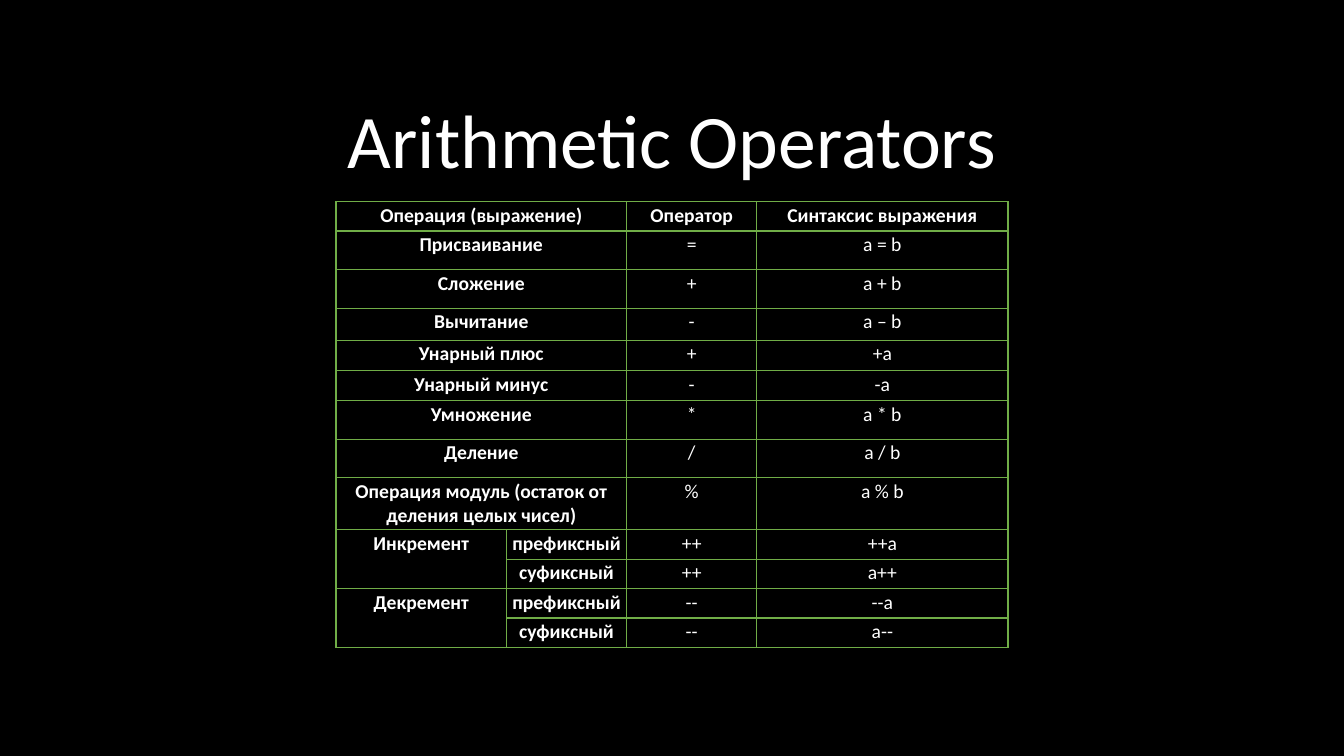
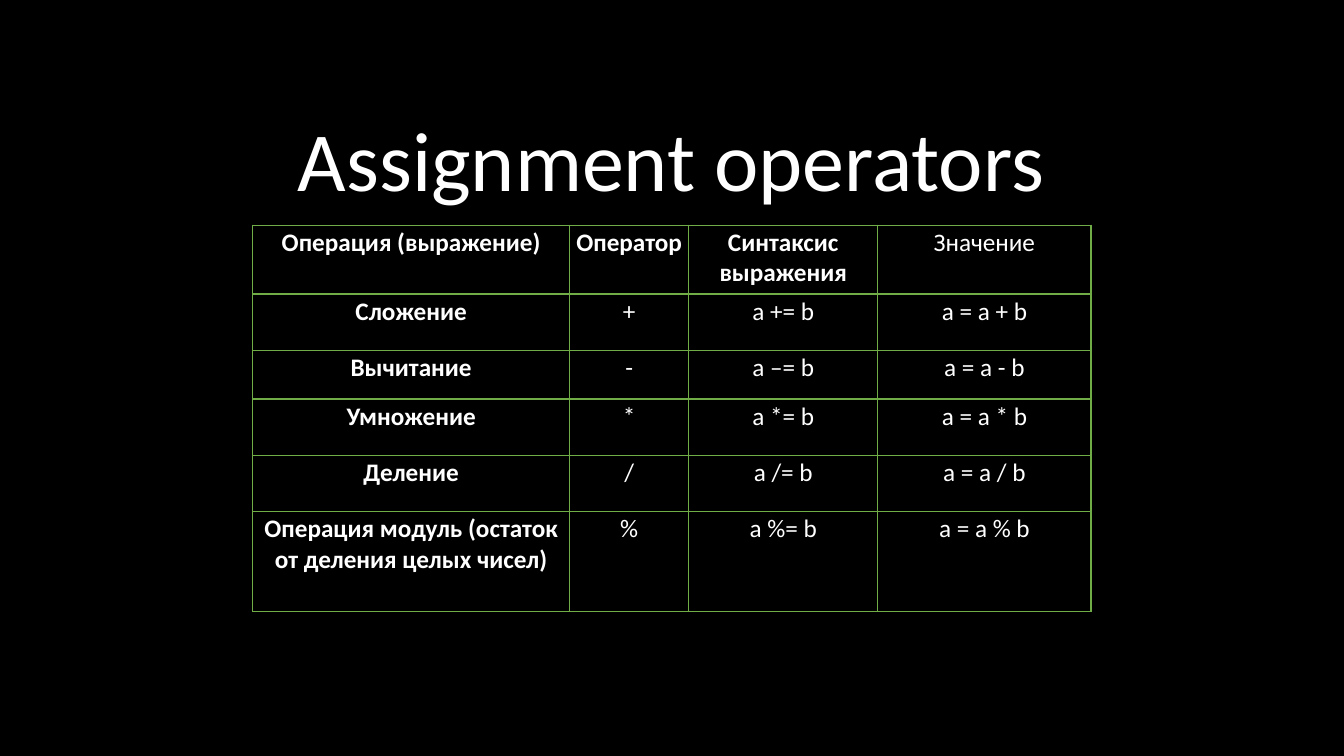
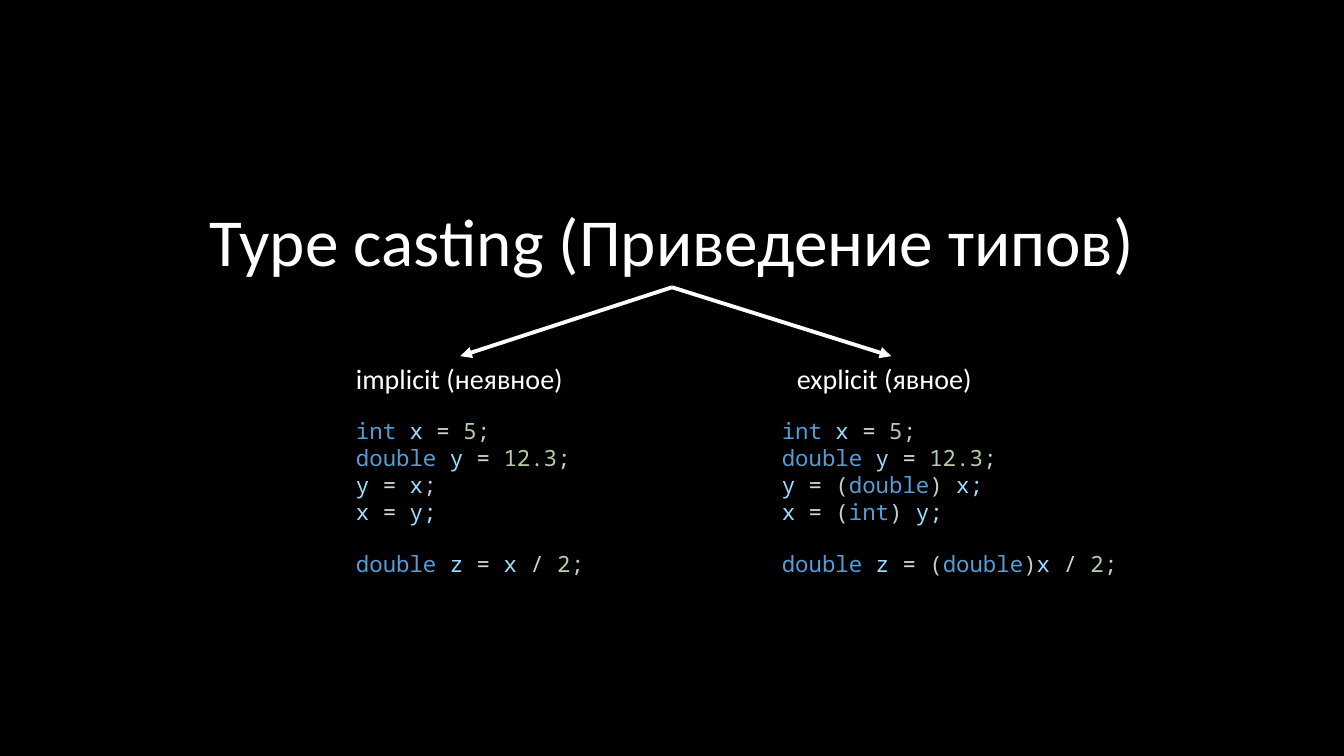
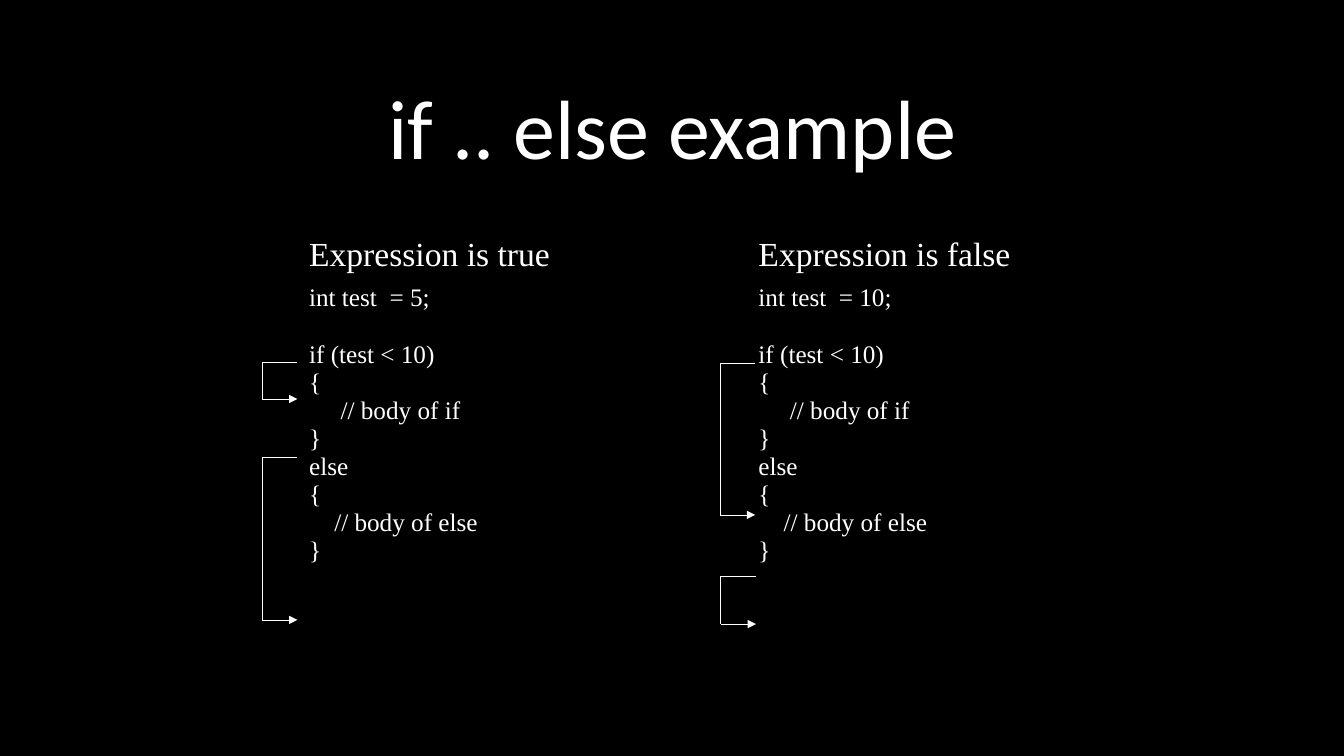
from itertools import groupby

from lxml.etree import SubElement
from pptx import Presentation
from pptx.dml.color import RGBColor
from pptx.enum.shapes import MSO_CONNECTOR
from pptx.enum.text import MSO_ANCHOR, MSO_AUTO_SIZE, PP_ALIGN
from pptx.oxml.ns import qn
from pptx.util import Emu, Inches, Pt

COLORS = {
    "background": "000000",
    "text": "FFFFFF",
    "border": "70AD47",
    "keyword": "569CD6",
    "variable": "9CDCFE",
    "operator": "D4D4D4",
    "number": "B5CEA8",
    "punctuation": "CCCCCC",
}
FONT, CODE_FONT, SERIF_FONT = "Calibri", "Noto Sans Mono", "Times New Roman"
KEYWORDS = {"int", "double"}
# Statements whose semicolon has the colour of the variable before it
TINTED_ENDINGS = {"x = y;", "y = (double) x;", "x = (int) y;"}

ARITHMETIC = [
    ("Операция (выражение)", "", "Оператор", "Синтаксис выражения"),
    ("Присваивание", "", "=", "a = b"),
    ("Сложение", "", "+", "a + b"),
    ("Вычитание", "", "-", "a – b"),
    ("Унарный плюс", "", "+", "+a"),
    ("Унарный минус", "", "-", "-a"),
    ("Умножение", "", "*", "a * b"),
    ("Деление", "", "/", "a / b"),
    ("Операция модуль (остаток от деления целых чисел)", "", "%", "a % b"),
    ("Инкремент", "префиксный", "++", "++a"),
    ("", "суфиксный", "++", "a++"),
    ("Декремент", "префиксный", "--", "--a"),
    ("", "суфиксный", "--", "a--"),
]
ASSIGNMENT = [
    ("Операция (выражение)", "Оператор", "Синтаксис выражения", "Значение"),
    ("Сложение", "+", "a += b", "a = a + b"),
    ("Вычитание", "-", "a –= b", "a = a - b"),
    ("Умножение", "*", "a *= b", "a = a * b"),
    ("Деление", "/", "a /= b", "a = a / b"),
    ("Операция модуль (остаток от деления целых чисел)", "%", "a %= b", "a = a % b"),
]
IMPLICIT_CODE = """int x = 5;
double y = 12.3;
y = x;
x = y;

double z = x / 2;"""
EXPLICIT_CODE = """int x = 5;
double y = 12.3;
y = (double) x;
x = (int) y;

double z = (double)x / 2;"""
BRANCH_CODE = """int test  = {};

if (test < 10)
{{
     // body of if
}}
else
{{
    // body of else
}}"""


def char_kind(char):
    if char.isalpha():
        return "variable"
    if char.isdigit() or char == ".":
        return "number"
    return "operator" if char in "=/" else "punctuation"


def highlight(line):
    """Split a statement into (text, colour name) pairs."""
    tokens = []
    for kind, chars in groupby(line, char_kind):
        word = "".join(chars)
        tokens.append((word, "keyword" if word in KEYWORDS else kind))
    if line in TINTED_ENDINGS:
        tokens[-1] = (tokens[-1][0], "variable")
    return tokens


class Deck:
    """Style and current slide; lengths are units of a 16 by 9 grid."""

    COLUMNS, ROWS = 16, 9

    def __init__(self):
        self.deck = Presentation()
        self.deck.slide_width = Inches(13.33)
        self.deck.slide_height = Inches(7.5)
        fill = self.deck.slide_master.background.fill
        fill.solid()
        fill.fore_color.rgb = RGBColor.from_string(COLORS["background"])
        self.slide = None

    def x(self, columns):
        return Emu(round(self.deck.slide_width * columns / self.COLUMNS))

    def y(self, rows):
        return Emu(round(self.deck.slide_height * rows / self.ROWS))

    def box(self, left, top, width, height):
        return self.x(left), self.y(top), self.x(width), self.y(height)

    def set_text(self, frame, text, size, font=FONT, bold=False, align=PP_ALIGN.LEFT, code=False):
        """Fill a frame; an empty line becomes space before the next one."""
        if not text:
            return
        lines = text.split("\n")
        frame.text = "\n".join(line for line in lines if line)
        gaps = [not before for before, line in zip(["start"] + lines, lines) if line]
        for paragraph, gap in zip(frame.paragraphs, gaps):
            paragraph.alignment = align
            if gap:
                paragraph.space_before = Pt(round(size * 1.15))
            tokens = [(paragraph.text, "text")]
            if code:
                tokens = highlight(paragraph.text)
                paragraph.text = ""
            for token, color in tokens:
                run = paragraph.add_run() if code else paragraph.runs[0]
                run.text = token
                run.font.size, run.font.name, run.font.bold = Pt(size), font, bold
                run.font.color.rgb = RGBColor.from_string(COLORS[color])

    def start_slide(self, title, size, *place):
        self.slide = self.deck.slides.add_slide(self.deck.slide_layouts[5])
        heading = self.slide.shapes.title
        heading.left, heading.top, heading.width, heading.height = self.box(*place)
        frame = heading.text_frame
        frame.vertical_anchor = MSO_ANCHOR.BOTTOM
        frame.auto_size = MSO_AUTO_SIZE.NONE
        self.set_text(frame, title, size, align=PP_ALIGN.CENTER)
        frame.paragraphs[0].line_spacing = 0.9

    def text(self, text, size, *place, wrap=True, **style):
        frame = self.slide.shapes.add_textbox(*self.box(*place)).text_frame
        frame.word_wrap = wrap
        frame.auto_size = MSO_AUTO_SIZE.SHAPE_TO_FIT_TEXT
        self.set_text(frame, text, size, **style)

    def border(self, cell, color):
        properties = cell._tc.get_or_add_tcPr()
        for side in ("lnL", "lnR", "lnT", "lnB"):
            line = SubElement(properties, qn("a:" + side), w=str(Pt(1)))
            if color:
                solid = SubElement(line, qn("a:solidFill"))
                SubElement(solid, qn("a:srgbClr"), val=color)
            else:
                SubElement(line, qn("a:noFill"))

    def table(self, rows, left, top, widths, heights, cell_style, border=None, margin=None):
        """Draw rows; cell_style(row, column) gives the text style of a cell."""
        place = self.box(left, top, sum(widths), sum(heights))
        grid = self.slide.shapes.add_table(len(rows), len(widths), *place).table
        grid.first_row = grid.horz_banding = False
        for column, width in zip(grid.columns, widths):
            column.width = self.x(width)
        for r, (row, height) in enumerate(zip(rows, heights)):
            grid.rows[r].height = self.y(height)
            for c, text in enumerate(row):
                cell = grid.cell(r, c)
                self.border(cell, border)
                cell.fill.background()
                if margin is not None:
                    cell.margin_left = cell.margin_right = margin
                    cell.margin_top = cell.margin_bottom = margin
                self.set_text(cell.text_frame, text, **cell_style(r, c))
        return grid

    def operator_table(self, rows, size, left, top, widths, heights, is_bold):
        def cell_style(r, c):
            return {"size": size, "bold": is_bold(r, c), "align": PP_ALIGN.CENTER}
        return self.table(rows, left, top, widths, heights, cell_style,
                          COLORS["border"], Pt(1.5))

    def line(self, shapes, start, end, width, arrow=False):
        ends = self.x(start[0]), self.y(start[1]), self.x(end[0]), self.y(end[1])
        connector = shapes.add_connector(MSO_CONNECTOR.STRAIGHT, *ends)
        connector.line.width = Pt(width)
        connector.line.color.rgb = RGBColor.from_string(COLORS["text"])
        properties = connector._element.spPr
        if arrow:
            SubElement(properties.find(qn("a:ln")), qn("a:tailEnd"), type="triangle")
        SubElement(properties, qn("a:effectLst"))

    def arrow(self, start, end):
        self.line(self.slide.shapes, start, end, 2.75, arrow=True)

    def jump(self, left, top, bottom):
        """Bracket that leads from one code line down to another."""
        right = left + 0.42
        shapes = self.slide.shapes.add_group_shape().shapes
        self.line(shapes, (right, top), (left, top), 0.5)
        self.line(shapes, (left, top), (left, bottom), 0.5)
        self.line(shapes, (left, bottom), (right, bottom), 0.5, arrow=True)


def arithmetic_slide(deck):
    deck.start_slide("Arithmetic Operators", 54, 3.79, 1.06, 8.42, 1.2)
    heights = [0.35, 0.46, 0.46, 0.38, 0.36, 0.36, 0.46, 0.46, 0.62] + [0.35] * 4
    grid = deck.operator_table(ARITHMETIC, 14, 4, 2.4, [2.03, 1.43, 1.55, 2.99], heights,
                               lambda r, c: r == 0 or c < 2)
    for r in range(9):
        grid.cell(r, 0).merge(grid.cell(r, 1))
    for r in (9, 11):
        grid.cell(r, 0).merge(grid.cell(r + 1, 0))


def assignment_slide(deck):
    deck.start_slide("Assignment operators", 60, 2.9, 1.13, 10.18, 1.43)
    deck.operator_table(ASSIGNMENT, 18, 3.01, 2.68, [3.77, 1.42, 2.25, 2.54],
                        [0.82, 0.67, 0.58, 0.67, 0.67, 1.19],
                        lambda r, c: c == 0 or (r == 0 and c < 3))


def casting_slide(deck):
    deck.start_slide("Type casting (Приведение типов)", 48, 1.79, 1.98, 12.42, 1.43)
    for tip in (5.48, 10.61):
        deck.arrow((8, 3.42), (tip, 4.24))
    deck.text("implicit (неявное)", 20, 4.12, 4.24, 2.74, 0.53, wrap=False)
    deck.text("explicit (явное)", 20, 9.37, 4.24, 2.48, 0.53)
    for code, left, width in ((IMPLICIT_CODE, 4.12, 2.99), (EXPLICIT_CODE, 9.19, 4.75)):
        deck.text(code, 16, left, 4.91, width, 2.06, font=CODE_FONT, code=True)


def branch_slide(deck):
    deck.start_slide("if .. else example", 60, 2.09, 0.65, 11.83, 1.52)
    rows = [("Expression is true", "Expression is false"),
            (BRANCH_CODE.format(5), BRANCH_CODE.format(10))]
    deck.table(rows, 3.56, 2.76, [5.35, 5.35], [0.49, 1.68],
               lambda r, c: {"size": 18 if r else 24, "font": SERIF_FONT})
    for left, top, bottom in ((3.12, 5.45, 7.38), (3.12, 4.31, 4.75),
                              (8.58, 6.86, 7.43), (8.57, 4.33, 6.13)):
        deck.jump(left, top, bottom)


def main():
    deck = Deck()
    for build in (arithmetic_slide, assignment_slide, casting_slide, branch_slide):
        build(deck)
    deck.deck.save("out.pptx")


if __name__ == "__main__":
    main()
